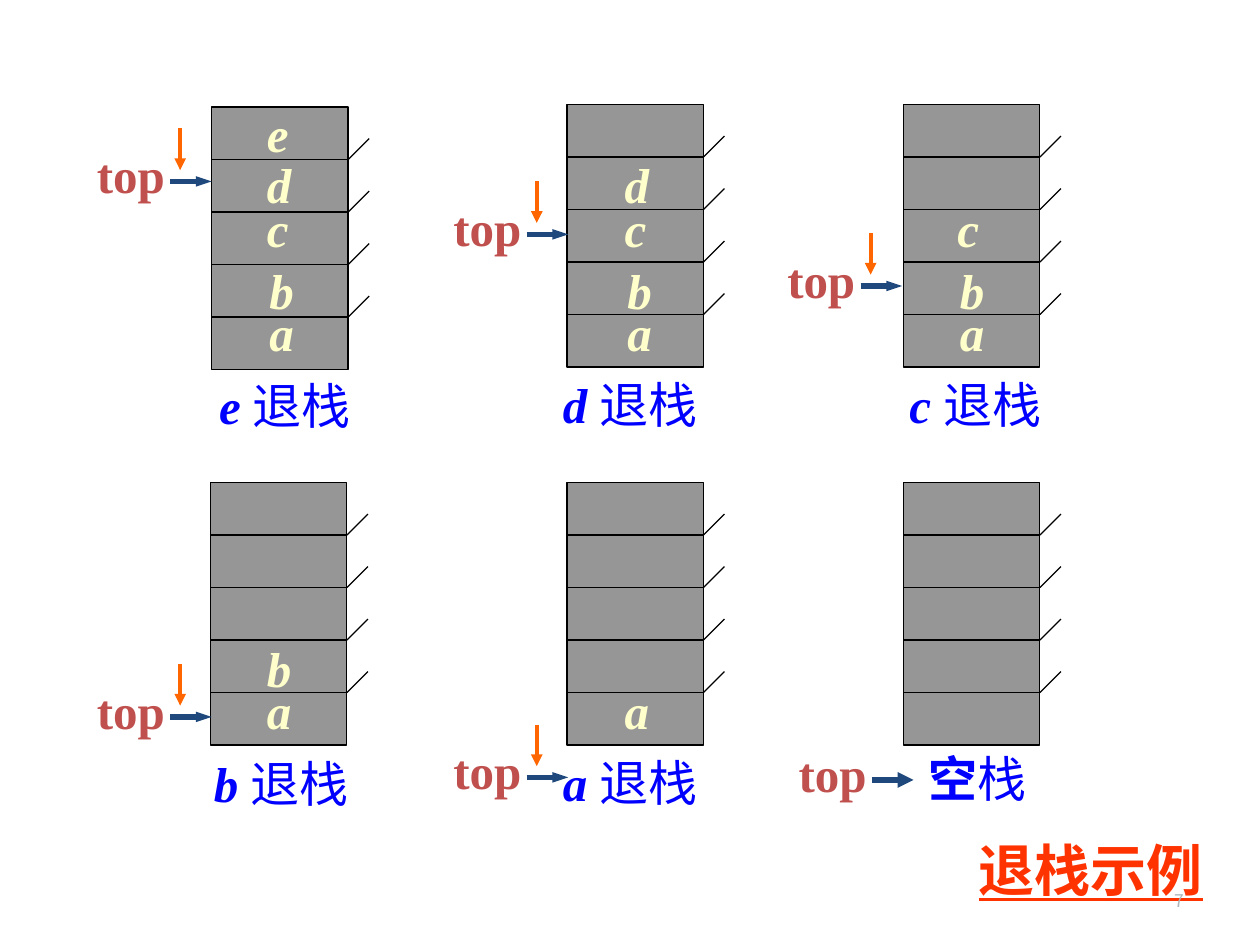
"""Build a slide showing the successive states of a stack as its elements are popped."""
from lxml.etree import SubElement
from pptx import Presentation
from pptx.dml.color import RGBColor
from pptx.enum.shapes import MSO_CONNECTOR, MSO_SHAPE
from pptx.enum.text import MSO_ANCHOR, MSO_AUTO_SIZE, PP_ALIGN
from pptx.oxml.ns import qn
from pptx.util import Inches, Pt

COLORS = {
    "cell": "969696",
    "outline": "000000",
    "letter": "FFFFCC",
    "caption": "0000FF",
    "label": "C0504D",
    "pointer": "1F497D",
    "move": "FF6600",
    "title": "FF3300",
    "number": "AEB6BB",
}
LATIN_FONT = "Times New Roman"
CHINESE_FONT = "Noto Sans CJK SC"

deck = Presentation()
deck.slide_width, deck.slide_height = Inches(10), Inches(7.5)
page = deck.slides.add_slide(deck.slide_layouts[6])


def add_text(spans, left, top, width, height=0.57, color="caption", size=28,
             font=LATIN_FONT, underline=False, wrap=False,
             align=PP_ALIGN.LEFT, anchor=MSO_ANCHOR.TOP):
    """Add a text box from (text, bold, italic) spans."""
    box = page.shapes.add_textbox(Inches(left), Inches(top), Inches(width), Inches(height))
    frame = box.text_frame
    frame.word_wrap = wrap
    frame.auto_size = MSO_AUTO_SIZE.NONE if wrap else MSO_AUTO_SIZE.SHAPE_TO_FIT_TEXT
    frame.vertical_anchor = anchor
    para = frame.paragraphs[0]
    para.alignment = align
    for text, bold, italic in spans:
        span = para.add_run()
        span.text = text
        span.font.size = Pt(size)
        span.font.name = font
        span.font.bold = bold
        span.font.italic = italic
        span.font.underline = underline
        span.font.color.rgb = RGBColor.from_string(COLORS[color])
        SubElement(span.font._element, qn("a:ea")).set("typeface", CHINESE_FONT)


def add_line(start_x, start_y, end_x, end_y, color="outline", weight=0.75, head_width=None):
    """Add a straight line, with an arrowhead at its end if head_width is given."""
    line = page.shapes.add_connector(
        MSO_CONNECTOR.STRAIGHT, Inches(start_x), Inches(start_y), Inches(end_x), Inches(end_y))
    line.line.color.rgb = RGBColor.from_string(COLORS[color])
    line.line.width = Pt(weight)
    if head_width:
        head = SubElement(line.line._get_or_add_ln(), qn("a:tailEnd"))
        head.set("type", "triangle")
        head.set("w", head_width)
        head.set("len", "med")
    SubElement(line._element.spPr, qn("a:effectLst"))


CELL_COUNT = 5
CELL_HEIGHT = 5 / 12
STACK_WIDTH, STACK_HEIGHT, TICK = 13 / 12, CELL_COUNT * CELL_HEIGHT, 1 / 6
ROW_GAP = 3
CAPTION_WIDTH = 1.5
LETTER_TOPS = {"a": 2.35, "b": 2.02, "c": 1.53, "d": 1.18, "e": 0.77}

# popped, row, stack left and top, contents, letter left, caption place, top label place
STACKS = [
    ("e", 0, 1.68, 0.85, "abcde", 2.04, (1.64, 2.93), (0.67, 1.1)),
    ("d", 0, 4.5, 0.83, "abcd", 4.88, (4.37, 2.92), (3.5, 1.52)),
    ("c", 0, 7.17, 0.83, "abc", 7.52, (7.12, 2.92), (6.15, 1.93)),
    ("b", 1, 1.67, 3.83, "ab", 2.02, (1.6, 5.93), (0.67, 5.35)),
    ("a", 1, 4.5, 3.83, "a", 4.86, (4.37, 5.92), (3.5, 5.83)),
    ("", 1, 7.17, 3.83, "", 0, (7.27, 5.89), (6.24, 5.85)),
]

for popped, row, left, top, contents, letter_left, caption, label in STACKS:
    stack = page.shapes.add_shape(
        MSO_SHAPE.RECTANGLE, Inches(left), Inches(top), Inches(STACK_WIDTH), Inches(STACK_HEIGHT))
    stack.shadow.inherit = False
    stack.fill.solid()
    stack.fill.fore_color.rgb = RGBColor.from_string(COLORS["cell"])
    stack.line.color.rgb = RGBColor.from_string(COLORS["outline"])
    stack.line.width = Pt(0.75)

    right = left + STACK_WIDTH
    for index in range(1, CELL_COUNT):
        divider = top + index * CELL_HEIGHT
        add_line(left, divider, right, divider)
        add_line(right, divider, right + TICK, divider - TICK)

    for letter in contents:
        shift = 0 if letter in "ab" else -0.02
        width = 0.37 if letter in "ce" else 0.39
        add_text([(letter, True, True)], letter_left + shift,
                 LETTER_TOPS[letter] + row * ROW_GAP, width, color="letter")

    if popped:
        spans = [(popped + " ", True, True), ("退栈", False, False)]
    else:
        spans = [("空", True, False), ("栈", False, False)]
    add_text(spans, *caption, CAPTION_WIDTH, wrap=True)

    label_left, label_top = label
    add_text([("top", True, False)], label_left, label_top, 0.74, color="label")
    pointer_left, pointer_y = label_left + 0.68, label_top + 0.34
    add_line(pointer_left, pointer_y, pointer_left + 0.33, pointer_y,
             color="pointer", weight=3, head_width="sm" if popped else "med")
    if popped:
        move_x = label_left + 0.76
        add_line(move_x, label_top - 0.08, move_x, label_top + 0.25,
                 color="move", weight=2.25, head_width="med")

add_text([("退栈示例", True, False)], 7.67, 6.58, 1.98, 0.64,
         color="title", size=32, underline=True)
add_text([("7", False, False)], 7.17, 6.95, 2.33, 0.4, color="number", size=10,
         font=CHINESE_FONT, wrap=True, align=PP_ALIGN.RIGHT, anchor=MSO_ANCHOR.MIDDLE)

deck.save("out.pptx")
